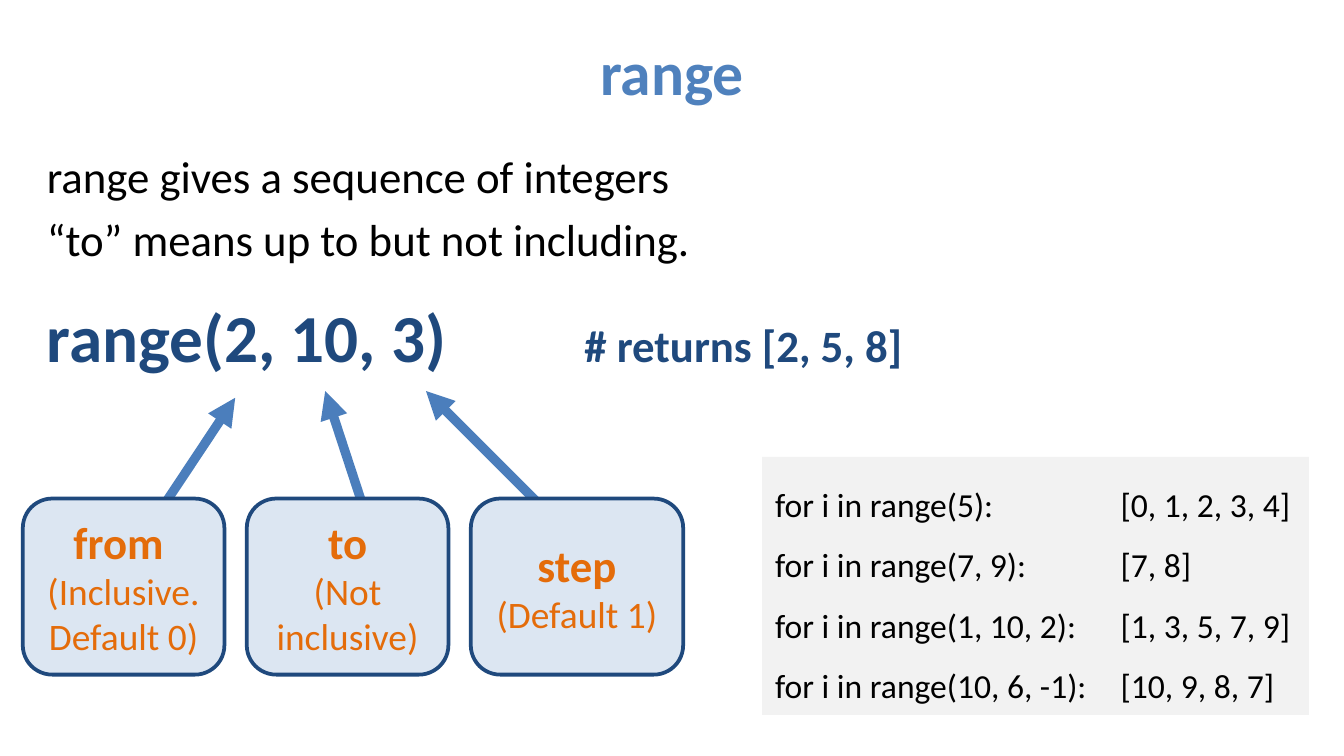
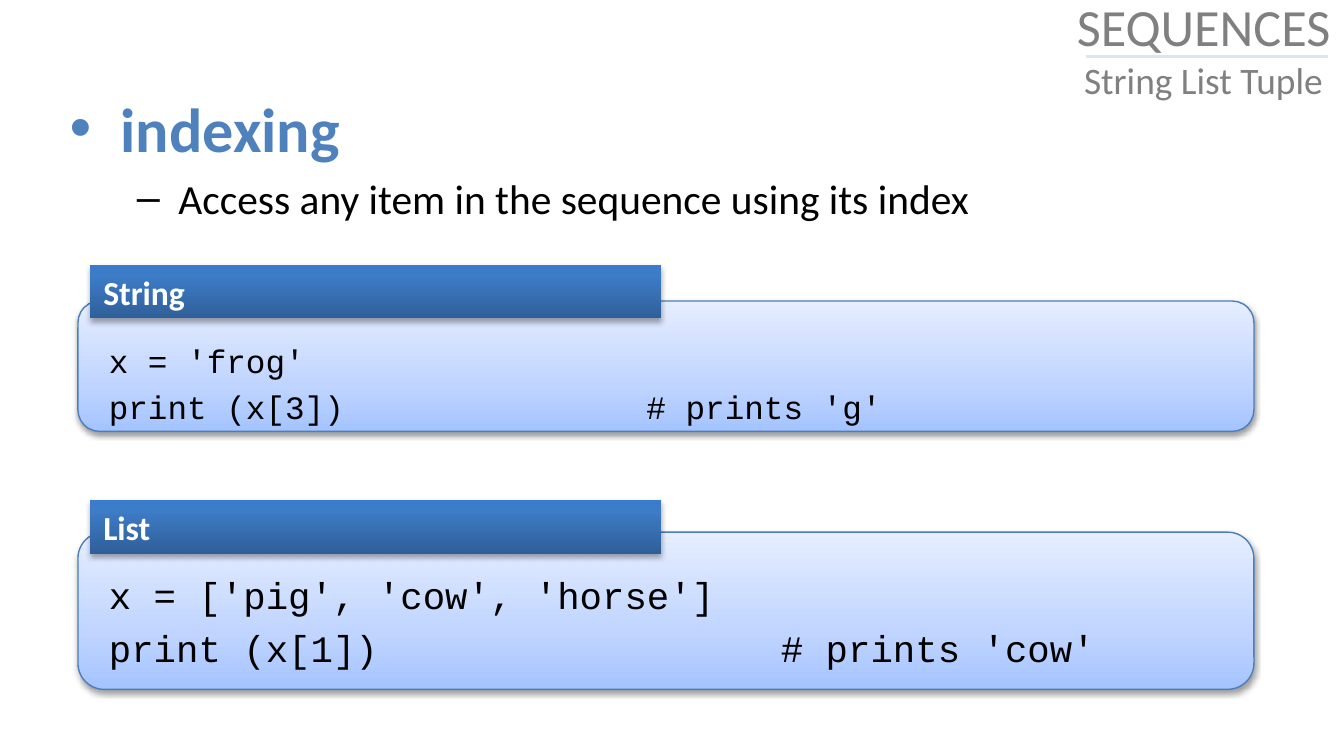
from lxml.etree import SubElement
from pptx import Presentation
from pptx.dml.color import RGBColor
from pptx.enum.shapes import MSO_CONNECTOR as Connector, MSO_SHAPE as Shape
from pptx.enum.text import MSO_ANCHOR as Anchor, MSO_AUTO_SIZE as AutoSize, PP_ALIGN as Align
from pptx.oxml.ns import qn
from pptx.util import Inches, Pt

COLORS = {
    "title": "4F81BD", "text": "000000", "navy": "1F497D", "orange": "E46C0A",
    "pale": "DCE6F2", "arrow": "4B7EBC", "panel": "F2F2F2", "grey": "808080",
    "white": "FFFFFF",
}
PANEL_GRADIENT = [(0, "A4C4FF"), (35, "BFD4FF"), (100, "E6EEFF")]
TAB_GRADIENT = [(0, "2F5F99"), (80, "3D7CC7"), (100, "3A7CCB")]
BODY_FONT, CODE_FONT = "Calibri", "Courier New"


# ---- Shared helpers ----
def color(name):
    return RGBColor.from_string(COLORS[name])


def inches(box):
    return [Inches(value) for value in box]


def style(para, size, tint="text", bold=False, font=BODY_FONT):
    for span in para.runs:
        span.font.name, span.font.size, span.font.bold = font, Pt(size), bold
        span.font.color.rgb = color(tint)


def space_before(para, percent=20):
    holder = para._p.get_or_add_pPr().get_or_add_spcBef()
    SubElement(holder, qn("a:spcPct"), val=str(percent * 1000))


def add_bullet(para, char, left, hanging):
    props = para._p.get_or_add_pPr()
    props.set("marL", str(Inches(left)))
    props.set("indent", str(-Inches(hanging)))
    SubElement(props, qn("a:buFont"), typeface="Arial")
    SubElement(props, qn("a:buChar"), char=char)


def add_tabs(para, stops):
    tabs = SubElement(para._p.get_or_add_pPr(), qn("a:tabLst"))
    for stop in stops:
        SubElement(tabs, qn("a:tab"), pos=str(Inches(stop)), algn="l")


def add_text(page, box, text):
    frame = page.shapes.add_textbox(*inches(box)).text_frame
    frame.word_wrap = True
    frame.text = text
    for para in frame.paragraphs:
        space_before(para)
    return frame


def add_block(page, kind, box, fill=None, line=None, width=1):
    block = page.shapes.add_shape(kind, *inches(box))
    block.shadow.inherit = False
    if fill:
        block.fill.solid()
        block.fill.fore_color.rgb = color(fill)
    if line:
        block.line.color.rgb = color(line)
        block.line.width = Pt(width)
    else:
        block.line.fill.background()
    return block


def add_line(page, start, end, tint, width, arrow=False):
    line = page.shapes.add_connector(Connector.STRAIGHT, *inches(start + end))
    line.line.color.rgb = color(tint)
    line.line.width = Pt(width)
    if arrow:
        SubElement(line.line._get_or_add_ln(), qn("a:tailEnd"), type="triangle")
    SubElement(line._element.spPr, qn("a:effectLst"))


def add_gradient(block, stops):
    block.fill.gradient()
    block.fill.gradient_angle = 90
    stop_list = block._element.spPr.find(qn("a:gradFill")).find(qn("a:gsLst"))
    for old in list(stop_list):
        stop_list.remove(old)
    for position, tint in stops:
        stop = SubElement(stop_list, qn("a:gs"), pos=str(position * 1000))
        SubElement(stop, qn("a:srgbClr"), val=tint)


def add_shadow(block, opacity, distance):
    effects = block._element.spPr.find(qn("a:effectLst"))
    shadow = SubElement(effects, qn("a:outerShdw"), blurRad=str(Pt(3.1)),
                        dist=str(Pt(distance)), dir="5400000", rotWithShape="0")
    tint = SubElement(shadow, qn("a:srgbClr"), val=COLORS["text"])
    SubElement(tint, qn("a:alpha"), val=str(opacity * 1000))


def set_title(page, box, lines, tint, bold=False):
    """Fill the title with lines of (text, size), parted by line breaks."""
    title = page.shapes.title
    title.left, title.top, title.width, title.height = inches(box)
    frame = title.text_frame
    frame.auto_size = AutoSize.NONE
    frame.vertical_anchor = Anchor.MIDDLE
    para = frame.paragraphs[0]
    para.text = "\v".join(text for text, size in lines)
    para.alignment = Align.CENTER
    style(para, lines[0][1], tint, bold)
    for span, (text, size) in zip(para.runs, lines):
        span.font.size = Pt(size)
    for line_break in para._p.findall(qn("a:br")):
        SubElement(line_break, qn("a:rPr"), sz=str(lines[0][1] * 100))


# ---- Range slide ----
def add_argument(page, box, name, notes, start, end):
    """One argument of the call: a rounded box with an arrow up to it."""
    add_line(page, start, end, "arrow", 5, arrow=True)
    frame = add_block(page, Shape.ROUNDED_RECTANGLE, box, "pale", "navy", 2).text_frame
    frame.word_wrap = True
    frame.vertical_anchor = Anchor.MIDDLE
    frame.text = "\n".join([name, *notes])
    for index, para in enumerate(frame.paragraphs):
        para.alignment = Align.CENTER
        style(para, 20 if index else 24, "orange", bold=index == 0)


def add_examples(page, box, examples):
    frame = add_block(page, Shape.RECTANGLE, box, "panel").text_frame
    frame.word_wrap = True
    frame.vertical_anchor = Anchor.TOP
    frame.text = "\n".join(f"for i in range({args}):\t{result}" for args, result in examples)
    for para in frame.paragraphs:
        para.alignment = Align.LEFT
        para.line_spacing = 1.5
        add_tabs(para, [2.57])
        style(para, 18)


def build_range(page):
    set_title(page, (0.5, 0.06, 9, 0.94), [("range", 33)], "title", bold=True)
    intro = add_text(page, (0.25, 1.06, 9, 1.17),
                     "range gives a sequence of integers\n“to” means up to but not including.")
    for para in intro.paragraphs:
        style(para, 24)

    add_examples(page, (5.67, 3.4, 4.07, 1.92), [
        ("5", "[0, 1, 2, 3, 4]"),
        ("7, 9", "[7, 8]"),
        ("1, 10, 2", "[1, 3, 5, 7, 9]"),
        ("10, 6, -1", "[10, 9, 8, 7]"),
    ])

    # Arguments and their arrows
    arguments = [
        ("from ", ["(Inclusive.", "Default 0)"], 1.5, (0.96, 4.15), (1.75, 2.96)),
        ("to", ["(Not inclusive)"], 1.5, (2.83, 4.16), (2.42, 2.91)),
        ("step", ["(Default 1)"], 1.58, (4.42, 4.16), (3.17, 2.91)),
    ]
    for index, (name, notes, width, start, end) in enumerate(arguments):
        box = (0.17 + index * 5 / 3, 3.71, width, 1.31)
        add_argument(page, box, name, notes, start, end)

    # The call and its result
    call = add_text(page, (0.25, 2.15, 7.08, 0.83), "range(2, 10, 3)").paragraphs[0]
    add_tabs(call, [3.5, 4])
    call.add_run().text = "\t\t# returns [2, 5, 8]"
    style(call, 36, "navy", bold=True)
    call.runs[1].font.size = Pt(24)


# ---- Indexing slide ----
def add_code_panel(page, box, label, rise, code, size, tabs):
    """A shaded panel of code with a label that rises above its top edge."""
    left, top, width, height = box
    panel = add_block(page, Shape.ROUNDED_RECTANGLE, box, line="arrow", width=0.75)
    add_gradient(panel, PANEL_GRADIENT)
    add_shadow(panel, 38, 1.6)

    frame = add_text(page, (left, top + 0.25, width, 0.95), code)
    frame.margin_left = Inches(0.23)
    for para in frame.paragraphs:
        add_tabs(para, tabs)
        style(para, size, font=CODE_FONT)

    tab = add_block(page, Shape.RECTANGLE, (left + 0.09, top - rise, 4.25, 0.4))
    add_gradient(tab, TAB_GRADIENT)
    add_shadow(tab, 35, 1.8)
    tab.text_frame.text = label
    tab.text_frame.paragraphs[0].alignment = Align.LEFT
    style(tab.text_frame.paragraphs[0], 18, "white", bold=True)


def build_indexing(page):
    topic = add_text(page, (0.42, 0.62, 9, 1.03),
                     "indexing\nAccess any item in the sequence using its index")
    heading, detail = topic.paragraphs
    add_bullet(heading, "•", 0.38, 0.38)
    style(heading, 33.3, "title", bold=True)
    detail.level = 1
    add_bullet(detail, "–", 0.81, 0.31)
    style(detail, 22.2)

    add_code_panel(page, (0.58, 2.24, 8.75, 0.97), "String", 0.27,
                   "x = 'frog'\nprint (x[3])\t\t\t# prints 'g'", 17.5, [2, 3, 4])
    add_code_panel(page, (0.58, 3.96, 8.75, 1.17), "List", 0.24,
                   "x = ['pig', 'cow', 'horse']\nprint (x[1])\t\t\t# prints 'cow'", 20, [3, 4, 5])

    # Corner title with its rule
    set_title(page, (7.83, -0.02, 2.25, 0.75),
              [("SEQUENCES", 28), ("String List Tuple", 20)], "grey")
    add_line(page, (8.08, 0.42), (9.88, 0.42), "pale", 2)


def main():
    deck = Presentation()
    # Widescreen, 16:9
    deck.slide_width = Inches(10)
    deck.slide_height = deck.slide_width * 9 // 16
    title_only = deck.slide_layouts[5]
    for build in (build_range, build_indexing):
        build(deck.slides.add_slide(title_only))
    deck.save("out.pptx")


if __name__ == "__main__":
    main()
